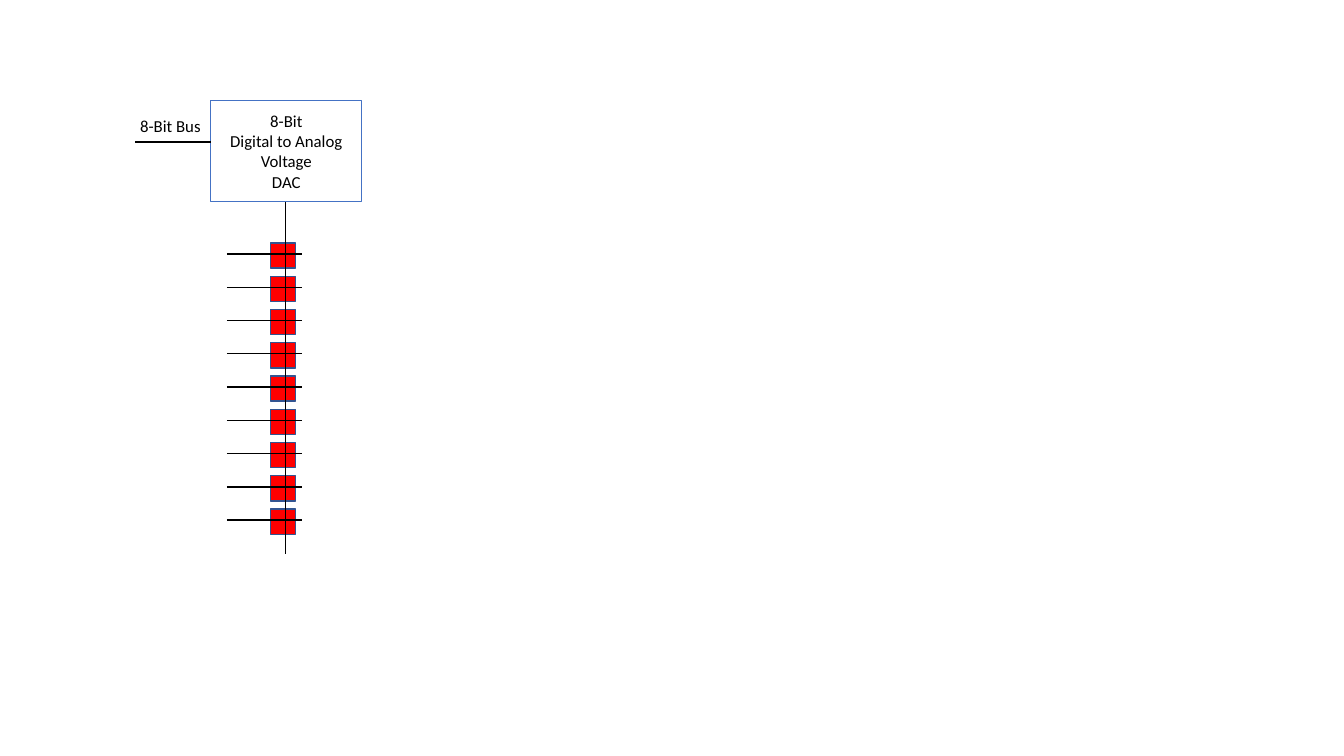
from lxml import etree
from pptx import Presentation
from pptx import util as u
from pptx.dml.color import RGBColor
from pptx.enum import shapes, text
from pptx.oxml.ns import qn

BLACK, WHITE, RED = "000000", "FFFFFF", "FF0000"
BLUE, DARK_BLUE = "4472C4", "325491"
FONT = {"name": "Calibri", "size": u.Pt(12)}

TAPS = 9
TAP_TOP, TAP_PITCH, TAP_SIZE = 2.41, 0.33, 0.25
WIRE_OFFSET = 0.11


def rgb(value):
    return RGBColor.from_string(value)


def set_attrs(obj, values):
    for name, value in values.items():
        setattr(obj, name, value)


def add_box(s, x, y, w, h, fill, line, width=1):
    sp = s.shapes.add_shape(shapes.MSO_SHAPE.RECTANGLE, *map(u.Inches, (x, y, w, h)))
    sp.shadow.inherit = False
    sp.fill.solid()
    sp.fill.fore_color.rgb = rgb(fill)
    sp.line.color.rgb = rgb(line)
    sp.line.width = u.Pt(width)
    return sp


def add_wire(s, x1, y1, x2, y2):
    c = s.shapes.add_connector(shapes.MSO_CONNECTOR.STRAIGHT, *map(u.Inches, (x1, y1, x2, y2)))
    c.line.color.rgb = rgb(BLACK)
    c.line.width = u.Pt(1)
    etree.SubElement(c._element.spPr, qn("a:effectLst"))


def write_lines(sp, lines, frame):
    tf = sp.text_frame
    set_attrs(tf, {"word_wrap": False, **frame})
    tf.text = "\n".join(lines)
    for p in tf.paragraphs:
        p.alignment = text.PP_ALIGN.CENTER
        for r in p.runs:
            set_attrs(r.font, FONT)
            r.font.color.rgb = rgb(BLACK)


def add_label(s, x, y, w, h, label):
    sp = s.shapes.add_textbox(*map(u.Inches, (x, y, w, h)))
    write_lines(sp, [label], {"auto_size": text.MSO_AUTO_SIZE.SHAPE_TO_FIT_TEXT})


def main():
    prs = Presentation()
    set_attrs(prs, {"slide_width": u.Inches(13.33), "slide_height": u.Inches(7.5)})
    s = prs.slides.add_slide(prs.slide_layouts[6])

    # Taps, then the wires that cross them
    tops = [TAP_TOP + i * TAP_PITCH for i in range(TAPS)]
    for y in tops:
        add_box(s, 2.68, y, TAP_SIZE, TAP_SIZE, RED, DARK_BLUE)
    for y in tops:
        add_wire(s, 2.25, y + WIRE_OFFSET, 3, y + WIRE_OFFSET)

    # DAC output
    add_wire(s, 2.83, 2, 2.83, 5.5)

    # DAC block
    dac = add_box(s, 2.09, 1, 1.5, 1, WHITE, BLUE, 0.75)
    write_lines(dac, ["8-Bit", "Digital to Analog", "Voltage", "DAC"],
                {"vertical_anchor": text.MSO_ANCHOR.MIDDLE})

    # Input bus
    add_wire(s, 1.34, 1.41, 2.09, 1.41)
    add_label(s, 1.28, 1.1, 0.82, 0.3, "8-Bit Bus")

    prs.save("out.pptx")


main()
